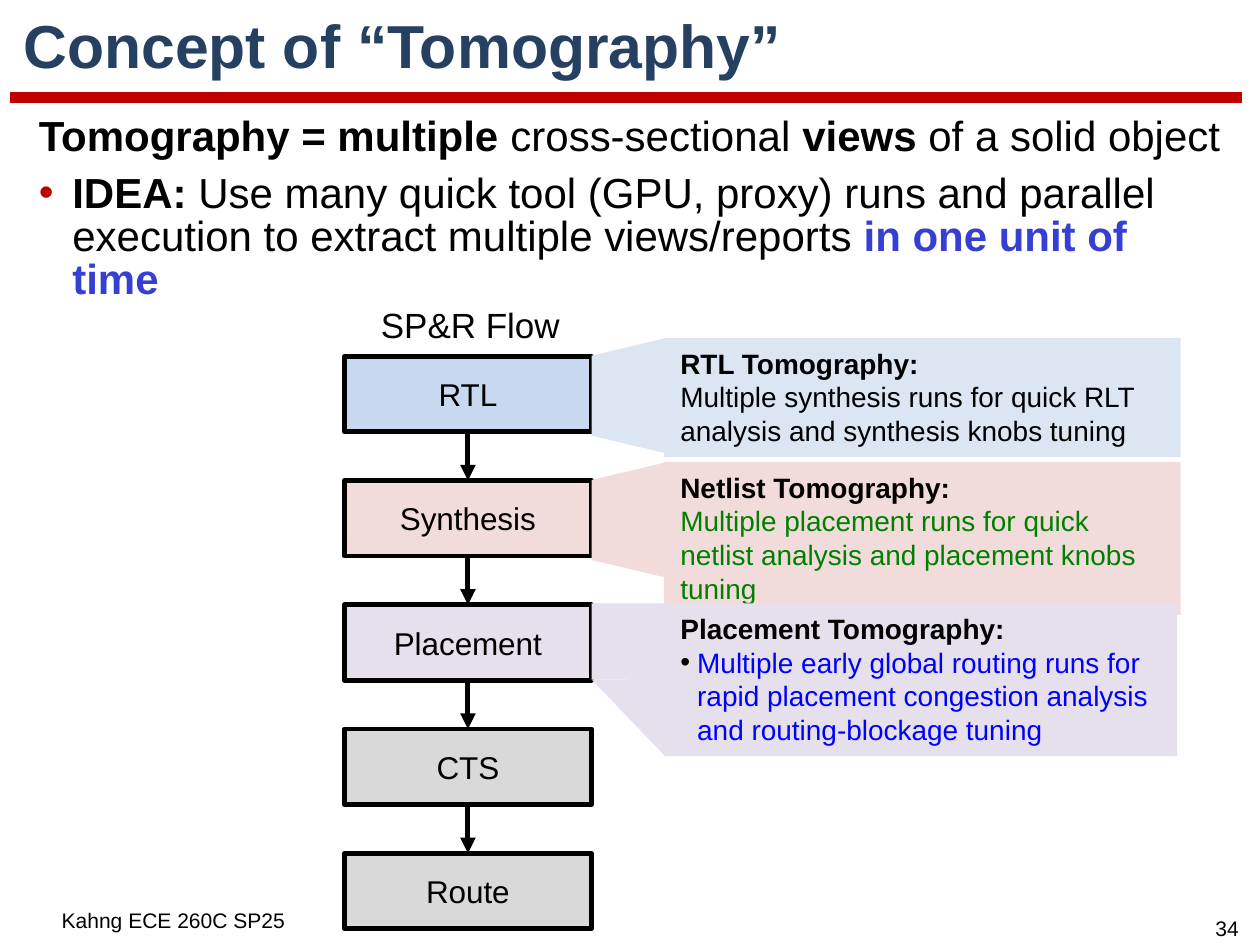
"""Build a slide on tomography across the stages of a design flow."""
import pptx
import pptx.dml.color
import pptx.enum.shapes
import pptx.enum.text
import pptx.oxml
import pptx.oxml.ns
import pptx.util

Pt = pptx.util.Pt
SHAPE = pptx.enum.shapes.MSO_SHAPE
ALIGN = pptx.enum.text.PP_ALIGN
ANCHOR = pptx.enum.text.MSO_ANCHOR
BLACK = "000000"


def color(value):
    return pptx.dml.color.RGBColor.from_string(value)


def write(frame, paragraphs, size, paragraph_format={}, frame_format={}):
    frame_values = {"word_wrap": True, "vertical_anchor": ANCHOR.TOP,
                    "auto_size": pptx.enum.text.MSO_AUTO_SIZE.NONE,
                    "margin_left": Pt(7.2), "margin_right": Pt(7.2),
                    "margin_top": Pt(3.6), "margin_bottom": Pt(3.6)}
    for name, value in (frame_values | frame_format).items():
        setattr(frame, name, value)
    for index, (runs, indent, bullet_color) in enumerate(paragraphs):
        paragraph = frame.paragraphs[0] if index == 0 else frame.add_paragraph()
        properties = paragraph._p.get_or_add_pPr()
        properties.set("marL", str(Pt(indent)))
        properties.set("indent", str(-Pt(indent)))
        if indent:
            bullet = pptx.oxml.parse_xml(
                f'<a:pPr {pptx.oxml.ns.nsdecls("a")}>'
                f'<a:buClr><a:srgbClr val="{bullet_color}"/></a:buClr>'
                '<a:buFont typeface="Arial"/><a:buChar char="•"/></a:pPr>')
            properties.extend(list(bullet))
        else:
            properties.append(pptx.oxml.parse_xml(f'<a:buNone {pptx.oxml.ns.nsdecls("a")}/>'))
        paragraph_values = {"alignment": ALIGN.LEFT, "space_before": Pt(0)}
        for name, value in (paragraph_values | paragraph_format).items():
            setattr(paragraph, name, value)
        for text, bold, text_color in runs:
            run = paragraph.add_run()
            run.text = text
            for name, value in {"name": "Arial", "size": Pt(size), "bold": bold}.items():
                setattr(run.font, name, value)
            run.font.color.rgb = color(text_color)


presentation = pptx.Presentation()
presentation.slide_width, presentation.slide_height = Pt(540), Pt(405)
slide = presentation.slides.add_slide(presentation.slide_layouts[1])
shapes = slide.shapes

title, body = shapes.title, slide.placeholders[1]
for placeholder, bounds in [(title, (2.9, 4.3, 503.3, 35.3)), (body, (9.4, 46.8, 522.7, 67))]:
    for name, value in zip(("left", "top", "width", "height"), bounds):
        setattr(placeholder, name, Pt(value))
write(title.text_frame, [([("Concept of “Tomography”", True, "254061")], 0, None)], 26,
      {"line_spacing": 0.8}, {"vertical_anchor": ANCHOR.MIDDLE})
write(body.text_frame, [
    ([("Tomography = multiple", True, BLACK), (" cross-sectional ", False, BLACK),
      ("views", True, BLACK), (" of a solid object", False, BLACK)], 0, None),
    ([("IDEA: ", True, BLACK),
      ("Use many quick tool (GPU, proxy) runs and parallel execution to extract "
       "multiple views/reports ", False, BLACK),
      ("in one unit of time", True, "353FD2")], 14.4, "C00000"),
], 18, {"line_spacing": 0.85})
body.text_frame.paragraphs[1].space_before = Pt(6)

labels = [
    ("SP&R Flow", 15, (156.2, 126.7, 92.2, 25.2), {"word_wrap": False}, ALIGN.LEFT),
    ("Kahng ECE 260C SP25", 9, (19.4, 385.2, 124.6, 15.1), {}, ALIGN.LEFT),
    ("34", 9, (512.6, 391, 26.6, 13.7),
     {"margin_left": Pt(2.88), "margin_right": Pt(2.88),
      "margin_top": Pt(1.44), "margin_bottom": Pt(1.44)}, ALIGN.CENTER),
]
for text, size, bounds, frame_format, alignment in labels:
    label = shapes.add_textbox(*map(Pt, bounds))
    write(label.text_frame, [([(text, False, BLACK)], 0, None)], size,
          {"alignment": alignment}, frame_format)

step_left, step_top, step_width, step_height, step_pitch = 147.6, 152.7, 105.9, 32.4, 53.25
steps = [("RTL", "C6D9F1"), ("Synthesis", "F2DCDB"), ("Placement", "E6E0EC"),
         ("CTS", "D9D9D9"), ("Route", "D9D9D9")]
notes = [
    ("RTL Tomography:",
     "Multiple synthesis runs for quick RLT analysis and synthesis knobs tuning",
     BLACK, "DCE6F2", (284.5, 144.8, 221.5, 51), 0),
    ("Netlist Tomography:",
     "Multiple placement runs for quick netlist analysis and placement knobs tuning",
     "008000", "F2DCDB", (284.5, 198, 221.5, 65.5), 0),
    ("Placement Tomography:",
     "Multiple early global routing runs for rapid placement congestion analysis "
     "and routing‐blockage tuning",
     "0000FF", "E6E0EC", (284.5, 258.6, 220, 65.5), 7.2),
]
funnels = [
    (SHAPE.TRAPEZOID, (244.6, 154.1, 49, 31), 270, 0.237, "DCE6F2"),
    (SHAPE.TRAPEZOID, (244.6, 154.1 + step_pitch, 49, 31), 270, 0.237, "F2DCDB"),
    (SHAPE.RECTANGLE, (253.5, 258.6, 36.7, 32.6), 0, None, "E6E0EC"),
    (SHAPE.ISOSCELES_TRIANGLE, (252.8, 291.8, 32.4, 31), 270, 0.999, "E6E0EC"),
]

blocks = []
for heading, text, text_color, fill, bounds, indent in notes:
    paragraphs = [([(heading, True, BLACK)], 0, None),
                  ([(text, False, text_color)], indent, BLACK)]
    blocks.append((SHAPE.RECTANGLE, bounds, 0, None, fill, False, paragraphs, 12, {}, {}))
for index, (name, fill) in enumerate(steps):
    bounds = (step_left, step_top + index * step_pitch, step_width, step_height)
    blocks.append((SHAPE.RECTANGLE, bounds, 0, None, fill, True,
                   [([(name, False, BLACK)], 0, None)], 13.5,
                   {"alignment": ALIGN.CENTER}, {"vertical_anchor": ANCHOR.MIDDLE}))
for funnel in funnels:
    blocks.append((*funnel, False, [], 12, {}, {}))

for kind, bounds, rotation, adjustment, fill, outlined, *text_values in blocks:
    shape = shapes.add_shape(kind, *map(Pt, bounds))
    shape.shadow.inherit = False
    shape.rotation = rotation
    if adjustment is not None:
        shape.adjustments[0] = adjustment
    shape.fill.solid()
    shape.fill.fore_color.rgb = color(fill)
    if outlined:
        shape.line.color.rgb = color(BLACK)
        shape.line.width = Pt(2)
    else:
        shape.line.fill.background()
    write(shape.text_frame, *text_values)

lines = [((4.3, 41.8, 532.1, 41.8), "C00000", 4.5, False)]
center = step_left + step_width / 2
for index in range(len(steps) - 1):
    top = step_top + index * step_pitch
    lines.append(((center, top + step_height, center, top + step_pitch), BLACK, 2.25, True))
for ends, line_color, width, arrow in lines:
    connector = shapes.add_connector(pptx.enum.shapes.MSO_CONNECTOR.STRAIGHT, *map(Pt, ends))
    connector.line.color.rgb = color(line_color)
    connector.line.width = Pt(width)
    if arrow:
        connector.line._get_or_add_ln().append(pptx.oxml.parse_xml(
            f'<a:tailEnd {pptx.oxml.ns.nsdecls("a")} type="triangle"/>'))
    connector._element.spPr.append(pptx.oxml.parse_xml(
        f'<a:effectLst {pptx.oxml.ns.nsdecls("a")}/>'))

presentation.save("out.pptx")
